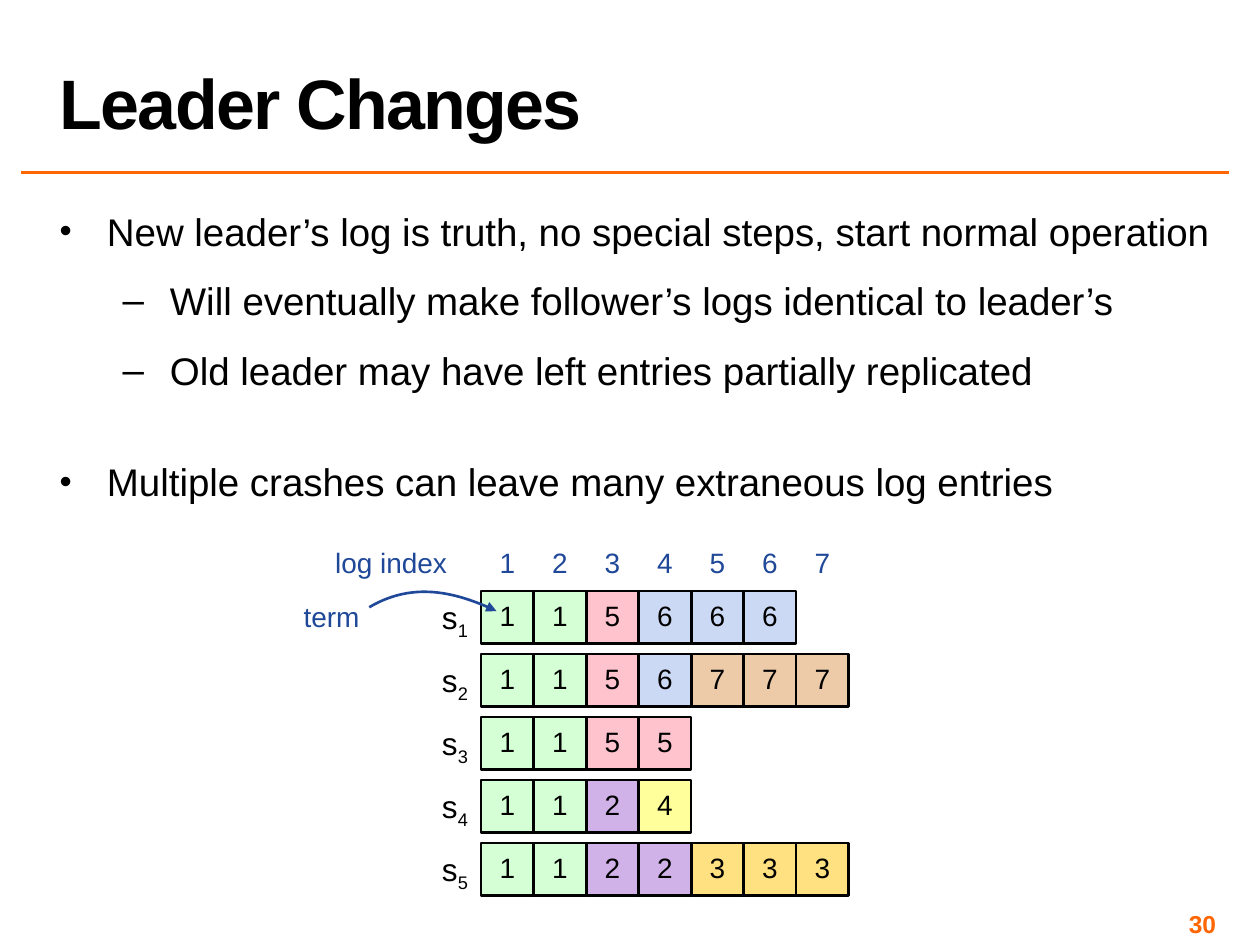
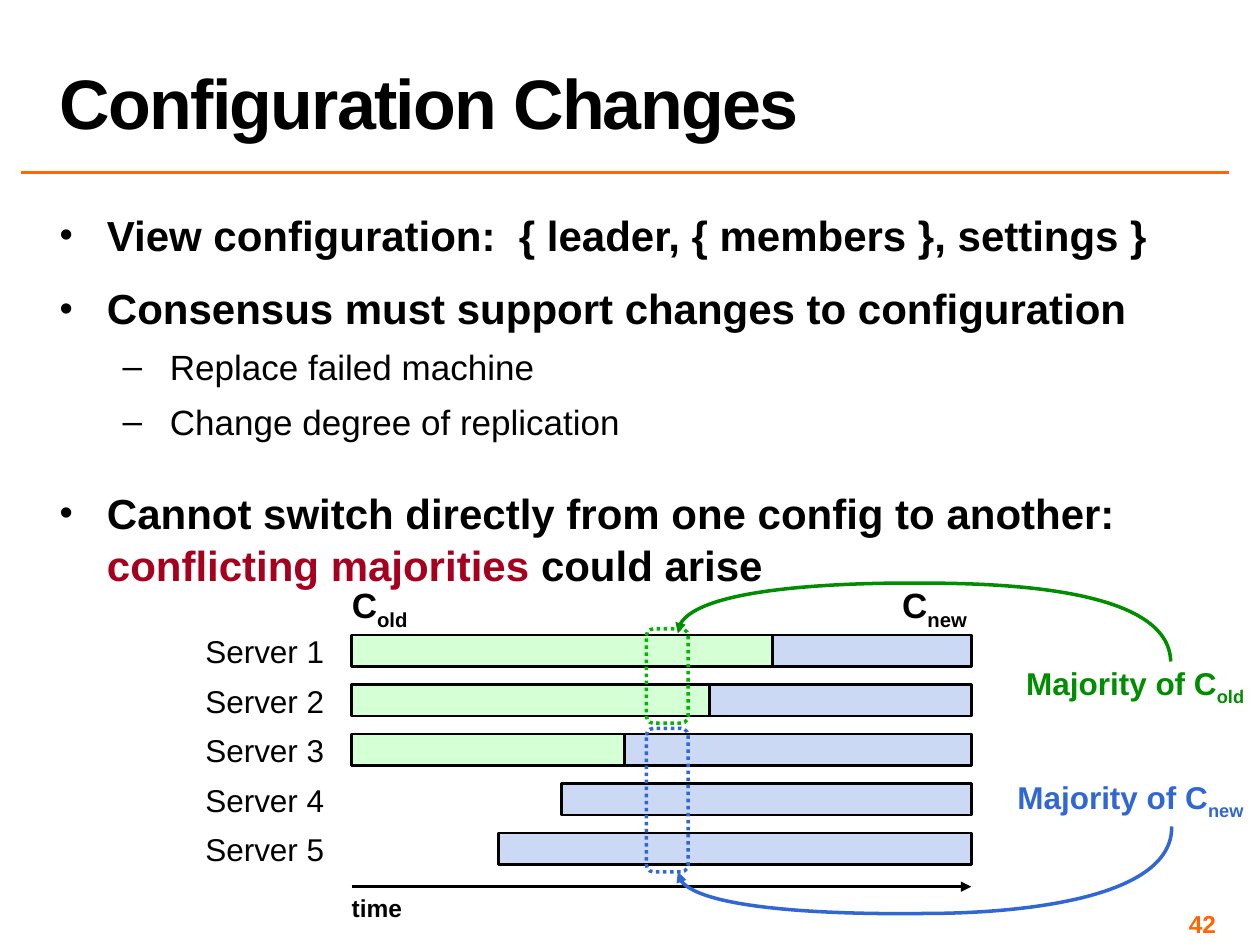
from lxml import etree
from pptx import Presentation
from pptx.dml.color import RGBColor
from pptx.enum.dml import MSO_LINE
from pptx.enum.shapes import MSO_CONNECTOR, MSO_SHAPE
from pptx.enum.text import MSO_ANCHOR, MSO_AUTO_SIZE, PP_ALIGN
from pptx.oxml.ns import qn
from pptx.util import Pt

STRAIGHT = MSO_CONNECTOR.STRAIGHT
RECT, ROUND = MSO_SHAPE.RECTANGLE, MSO_SHAPE.ROUNDED_RECTANGLE
TOP, MIDDLE, BOTTOM = MSO_ANCHOR.TOP, MSO_ANCHOR.MIDDLE, MSO_ANCHOR.BOTTOM
LEFT, CENTER, RIGHT = PP_ALIGN.LEFT, PP_ALIGN.CENTER, PP_ALIGN.RIGHT
DOTTED = MSO_LINE.ROUND_DOT
NO_FIT = MSO_AUTO_SIZE.NONE

FONT = "Arial"
BLACK, ORANGE, PAGE_ORANGE = "000000", "FF6600", "FF6501"
NAVY, CRIMSON = "1F4899", "A5001E"
MINT, SKY = "D5FFD5", "CCD9F4"
GREEN, DOT_GREEN, BLUE = "008E00", "00B800", "3167D3"
TERM_FILLS = {1: MINT, 2: "D1B2E8", 3: "FFE181", 4: "FFFF9B",
              5: "FFC3CE", 6: SKY, 7: "EECBA8"}

LEADER_POINTS = [
    (0, 0, 6, 22, False, ["New leader’s log is truth, no special steps, start normal operation"]),
    (1, 6, 6, 22, False, ["Will eventually make follower’s logs identical to leader’s"]),
    (1, 6, 6, 22, False, ["Old leader may have left entries partially replicated"]),
    (0, 30, 6, 22, False, ["Multiple crashes can leave many extraneous log entries"]),
]
LOGS = [
    [1, 1, 5, 6, 6, 6],
    [1, 1, 5, 6, 7, 7, 7],
    [1, 1, 5, 5],
    [1, 1, 2, 4],
    [1, 1, 2, 2, 3, 3, 3],
]
TERM_CURVE = [(211, 347), (234, 333.4), (260, 337.7), (283.7, 349.2)]

CONFIG_POINTS = [
    (0, 0, 0, 24, True, ["View configuration:  { leader, { members }, settings }"]),
    (0, 12, 0, 24, True, ["Consensus must support changes to configuration"]),
    (1, 6, 0, 20, False, ["Replace failed machine"]),
    (1, 6, 0, 20, False, ["Change degree of replication"]),
    (0, 24, 0, 24, True, ["Cannot switch directly from one config to another: ",
                          ("conflicting majorities ", {"color": CRIMSON}), "could arise"]),
]
SERVERS = [
    ("Server 1", True, 441.4),
    ("Server 2", True, 405.4),
    ("Server 3", True, 357),
    ("Server 4", False, 321),
    ("Server 5", False, 285),
]
MAJORITIES = [
    ("old", GREEN, DOT_GREEN, (369.4, 359.3, 23.8, 54), (584.6, 379.6, 128.2, 21.6),
     [(669, 378), (668.2, 337), (577.4, 333.4), (529.2, 333.2),
      (481, 332.8), (386.6, 336.2), (387.4, 362)]),
    ("new", BLUE, BLUE, (369.4, 416.2, 23.8, 82), (579, 444.4, 134, 21.6),
     [(669.6, 472.3), (670.3, 514.8), (578.2, 522), (529.2, 522),
      (479.5, 522.7), (386.6, 519.8), (387.4, 498.2)]),
]
SUBSCRIPT = {"baseline": "-25000"}


def rgb(color):
    return RGBColor.from_string(color)


def add_runs(p, runs, size=16, color=BLACK, bold=False):
    for item in runs:
        words, own = (item, {}) if isinstance(item, str) else item
        r = p.add_run()
        r.text = words
        r.font.name, r.font.size, r.font.bold = FONT, Pt(size), bold
        r.font.color.rgb = rgb(own.get("color", color))
        for name in ("baseline", "spc"):
            if name in own:
                r._r.get_or_add_rPr().set(name, own[name])


def set_text(sp, *runs, align=LEFT, anchor=TOP, inset=None, wrap=True, spacing=None, **fmt):
    tf = sp.text_frame
    tf.auto_size, tf.word_wrap, tf.vertical_anchor = NO_FIT, wrap, anchor
    if inset is not None:
        tf.margin_left = tf.margin_top = tf.margin_right = tf.margin_bottom = Pt(inset)
    p = tf.paragraphs[0]
    p.alignment, p.line_spacing = align, spacing
    add_runs(p, runs, **fmt)


def label(s, box, *runs, **fmt):
    set_text(s.shapes.add_textbox(*map(Pt, box)), *runs, **fmt)


def stroke(sp, color, width, arrow=False, dash=None):
    sp.line.color.rgb, sp.line.width = rgb(color), Pt(width)
    if dash:
        sp.line.dash_style = dash
    if arrow:
        etree.SubElement(sp.line._get_or_add_ln(), qn("a:tailEnd"), type="triangle")


def block(s, kind, box, fill=None, line=BLACK, width=1.5, dash=None):
    sp = s.shapes.add_shape(kind, *map(Pt, box))
    sp.shadow.inherit = False
    if fill:
        sp.fill.solid()
        sp.fill.fore_color.rgb = rgb(fill)
    else:
        sp.fill.background()
    stroke(sp, line, width, dash=dash)
    return sp


def straight(s, x1, x2, y, color, width, arrow=False):
    cx = s.shapes.add_connector(STRAIGHT, Pt(x1), Pt(y), Pt(x2), Pt(y))
    stroke(cx, color, width, arrow)
    etree.SubElement(cx._element.spPr, qn("a:effectLst"))


def curve(s, points, color, width):
    points = [(Pt(x), Pt(y)) for x, y in points]
    fb = s.shapes.build_freeform(*points[0])
    fb.add_line_segments(points[1:], close=False)
    sp = fb.convert_to_shape()
    sp.shadow.inherit = False
    sp.fill.background()
    stroke(sp, color, width, arrow=True)
    segments = list(sp._element.iter(qn("a:lnTo")))
    path = segments[0].getparent()
    for i in range(0, len(segments), 3):
        bezier = etree.SubElement(path, qn("a:cubicBezTo"))
        for segment in segments[i:i + 3]:
            bezier.append(segment[0])
            path.remove(segment)


def bullet(p, level):
    pPr = p._p.get_or_add_pPr()
    pPr.set("marL", str(Pt(27 + 36 * level)))
    pPr.set("indent", str(Pt(-27)))
    color = etree.SubElement(pPr, qn("a:buClr"))
    etree.SubElement(color, qn("a:srgbClr"), val=BLACK)
    etree.SubElement(pPr, qn("a:buSzPct"), val="100000" if level else "90000")
    etree.SubElement(pPr, qn("a:buFont"), typeface=FONT)
    etree.SubElement(pPr, qn("a:buChar"), char="–" if level else "•")


def add_points(s, box, points):
    tf = s.shapes.add_textbox(*map(Pt, box)).text_frame
    tf.word_wrap = True
    for i, (level, before, after, size, bold, runs) in enumerate(points):
        p = tf.add_paragraph() if i else tf.paragraphs[0]
        bullet(p, level)
        p.level, p.line_spacing = level, 1.05
        p.space_before, p.space_after = Pt(before), Pt(after)
        add_runs(p, runs, size=size, bold=bold)


def new_slide(prs, title, number):
    s = prs.slides.add_slide(prs.slide_layouts[5])
    sp = s.shapes.title
    sp.left, sp.top, sp.width, sp.height = Pt(27), Pt(1.5), Pt(675), Pt(84)
    set_text(sp, (title, {"spc": "-100"}), anchor=BOTTOM, spacing=0.8, size=40, bold=True)
    straight(s, 12, 702, 98.7, ORANGE, 2)
    label(s, (534, 516, 168, 17), str(number), align=RIGHT, size=14, color=PAGE_ORANGE, bold=True)
    return s


def leader_changes(prs):
    s = new_slide(prs, "Leader Changes", 30)
    add_points(s, (27, 113.8, 690.5, 386.6), LEADER_POINTS)
    left, top, cell, pitch = 275, 337.7, 30, 36
    for i in range(max(map(len, LOGS))):
        label(s, (left + i * cell, 308.2, cell, 26.6), str(i + 1), align=CENTER, color=NAVY)
    label(s, (191.5, 311.8, 90, 19.4), "log index", inset=0, color=NAVY)
    label(s, (173.5, 342.7, 60, 19.4), "term", inset=0, color=NAVY)
    for row, terms in enumerate(LOGS):
        y = top + row * pitch
        label(s, (left - cell, y + 4.3, cell, 21.6), "s", (str(row + 1), SUBSCRIPT),
              align=CENTER, inset=0, size=18)
        for col, term in enumerate(terms):
            sp = block(s, RECT, (left + col * cell, y, cell, cell), TERM_FILLS[term])
            set_text(sp, str(term), align=CENTER, anchor=MIDDLE, inset=0, spacing=Pt(17))
    curve(s, TERM_CURVE, NAVY, 1.5)


def configuration_changes(prs):
    s = new_slide(prs, "Configuration Changes", 42)
    add_points(s, (27, 114.5, 675, 236), CONFIG_POINTS)
    left, right, top, pitch, height = 201, 555, 362.9, 28.25, 18
    for x, width, name in ((left, 34.6, "old"), (515.5, 41, "new")):
        label(s, (x, 333.4, width, 24.5), "C", (name, SUBSCRIPT),
              inset=0, wrap=False, size=20, bold=True)
    for i, (name, was_member, switch) in enumerate(SERVERS):
        y = top + i * pitch
        label(s, (117.3, y - 1.6, 68.4, 21.6), name, inset=0, wrap=False, size=18)
        if was_member:
            block(s, RECT, (left, y, right - left, height), MINT)
        block(s, RECT, (switch, y, right - switch, height), SKY)
    straight(s, left, right, 506.7, BLACK, 1.5, arrow=True)
    label(s, (left, 510.5, 28.8, 17.3), "time", inset=0, wrap=False, size=14, bold=True)
    for name, color, dots, outline, box, points in MAJORITIES:
        block(s, ROUND, outline, line=dots, width=2, dash=DOTTED)
        label(s, box, "Majority of C", (name, SUBSCRIPT), align=CENTER,
              inset=0, wrap=False, size=18, color=color, bold=True)
        curve(s, points, color, 2)


def main():
    prs = Presentation()
    prs.slide_width, prs.slide_height = Pt(720), Pt(540)
    leader_changes(prs)
    configuration_changes(prs)
    prs.save("out.pptx")


if __name__ == "__main__":
    main()
